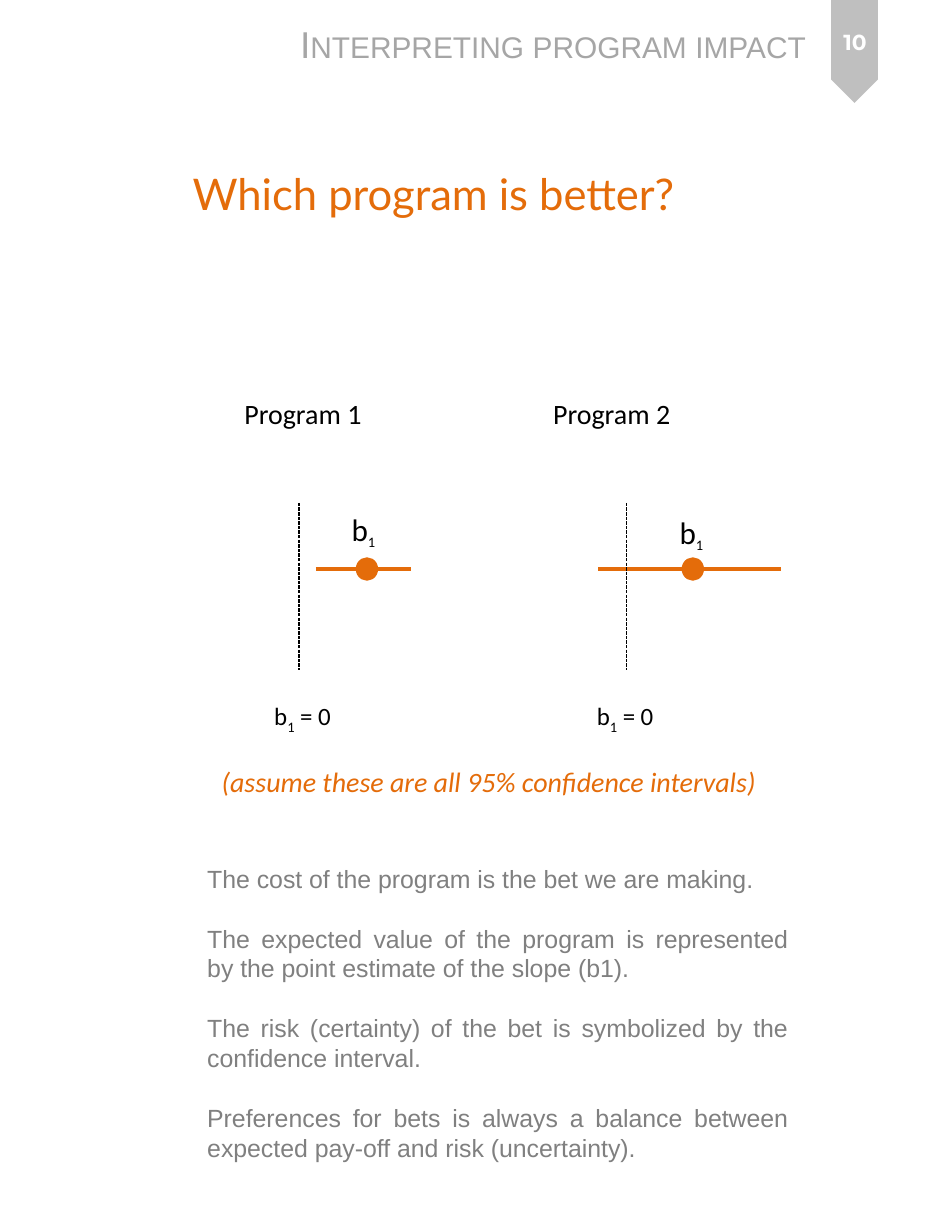
from dataclasses import dataclass
from lxml import etree
from pptx import Presentation
from pptx.dml.color import RGBColor
from pptx.enum import dml, shapes, text
from pptx.oxml.ns import qn
from pptx.util import Pt

HUES = {"ink": "000000", "hot": "E46C0A", "head": "A6A6A6",
        "body": "808080", "tab": "BFBFBF", "page": "FFFFFF"}
MID = 365.8


@dataclass
class Run:
    words: str
    size: float
    hue: str = "ink"
    face: str = "Calibri"
    bold: bool = False
    slant: bool = False
    caps: bool = False
    sub: bool = False


@dataclass
class Plan:
    name: str
    left: float
    zero: float
    low: float
    high: float
    dot: float
    mark: float
    top: float
    null: float


PLANS = [
    Plan("Program 1", 150, 192.2, 203, 264.2, 229.7, 218.9, 324.7, 169.2),
    Plan("Program 2", 348.5, 402.5, 384.5, 501.8, 439.2, 429.8, 326.2, 376.6),
]
NOTES = [
    "The cost of the program is the bet we are making.",
    "The expected value of the program is represented by the point estimate of the slope (b1).",
    "The risk (certainty) of the bet is symbolized by the confidence interval.",
    "Preferences for bets is always a balance between expected pay-off and risk (uncertainty).",
]


def tint(key: str) -> RGBColor:
    return RGBColor.from_string(HUES[key])


def write(para, *runs: Run) -> None:
    for run in runs:
        part = para.add_run()
        part.text = run.words
        font = part.font
        font.size, font.name = Pt(run.size), run.face
        font.bold, font.italic = run.bold, run.slant
        font.color.rgb = tint(run.hue)
        props = part._r.get_or_add_rPr()
        if run.caps:
            props.set("cap", "small")
        if run.sub:
            props.set("baseline", "-25000")


def label(slide, x: float, y: float, w: float, h: float, *runs: Run):
    frame = slide.shapes.add_textbox(Pt(x), Pt(y), Pt(w), Pt(h)).text_frame
    frame.word_wrap = False
    frame.auto_size = text.MSO_AUTO_SIZE.SHAPE_TO_FIT_TEXT
    write(frame.paragraphs[0], *runs)
    return frame


def rule(slide, x: float, y: float, x2: float, y2: float,
         hue: str, width: float, dash: bool = False) -> None:
    line = slide.shapes.add_connector(
        shapes.MSO_CONNECTOR.STRAIGHT, Pt(x), Pt(y), Pt(x2), Pt(y2))
    line.line.color.rgb = tint(hue)
    line.line.width = Pt(width)
    if dash:
        line.line.dash_style = dml.MSO_LINE.SQUARE_DOT
    etree.SubElement(line._element.spPr, qn("a:effectLst"))


def solid(slide, kind, x: float, y: float, w: float, h: float, hue: str):
    form = slide.shapes.add_shape(kind, Pt(x), Pt(y), Pt(w), Pt(h))
    form.shadow.inherit = False
    form.fill.solid()
    form.fill.fore_color.rgb = tint(hue)
    form.line.fill.background()
    return form


def place(holder, x: float, y: float, w: float, h: float):
    holder.left, holder.top = Pt(x), Pt(y)
    holder.width, holder.height = Pt(w), Pt(h)
    frame = holder.text_frame
    frame.auto_size = text.MSO_AUTO_SIZE.NONE
    frame.vertical_anchor = text.MSO_ANCHOR.TOP
    return frame


def draw(slide, plan: Plan) -> None:
    rule(slide, plan.low, MID, plan.high, MID, "hot", 2)
    rule(slide, plan.zero, 323.3, plan.zero, 430.6, "ink", 0.75, True)
    dot = solid(slide, shapes.MSO_SHAPE.OVAL, plan.dot, MID - 6.5, 12.4, 13, "hot")
    dot.line.color.rgb = tint("hot")
    dot.line.width = Pt(2)
    label(slide, plan.left, 251.3, 90.7, 28.8, Run(plan.name, 18))
    label(slide, plan.mark, plan.top, 30.2, 31.7, Run("b", 20), Run("1", 16, sub=True))
    label(slide, plan.null, 447.1, 51.8, 26.6,
          Run("b", 16), Run("1", 16, sub=True), Run(" = 0", 16))


def main() -> None:
    deck = Presentation()
    deck.slide_width, deck.slide_height = Pt(612), Pt(792)
    slide = deck.slides.add_slide(deck.slide_layouts[1])
    title, body = slide.placeholders

    tab = solid(slide, shapes.MSO_SHAPE.PENTAGON, 516.2, 18, 66.2, 30.2, "tab")
    tab.rotation = 90
    label(slide, 185.8, 10.1, 357.1, 36,
          Run("Interpreting program impact", 24, "head", "Arial", caps=True))
    page = label(slide, 522.7, 5.8, 54, 42.5,
                 Run("10", 14, "page", "Montserrat", bold=True))
    page.word_wrap = True
    page.auto_size = text.MSO_AUTO_SIZE.NONE
    page.vertical_anchor = text.MSO_ANCHOR.MIDDLE
    page.paragraphs[0].alignment = text.PP_ALIGN.CENTER

    head = place(title, 116.6, 103.7, 406.1, 41).paragraphs[0]
    head.alignment = text.PP_ALIGN.LEFT
    write(head, Run("Which program is better?", 28, "hot", "Lato"))

    for plan in PLANS:
        draw(slide, plan)
    label(slide, 135.4, 488.2, 364.3, 28.8,
          Run("(assume these are all 95% confidence intervals)", 18, "hot", slant=True))

    frame = place(body, 126, 551.5, 388.1, 200.9)
    for i, note in enumerate(NOTES):
        para = frame.add_paragraph() if i else frame.paragraphs[0]
        props = para._p.get_or_add_pPr()
        props.set("marL", "0")
        props.set("indent", "0")
        etree.SubElement(props, qn("a:buNone"))
        para.alignment = text.PP_ALIGN.JUSTIFY
        para.line_spacing = Pt(19.2)
        para.space_before = Pt(19.2 if i else 0)
        write(para, Run(note, 16, "body", "Arial"))

    deck.save("out.pptx")


if __name__ == "__main__":
    main()
